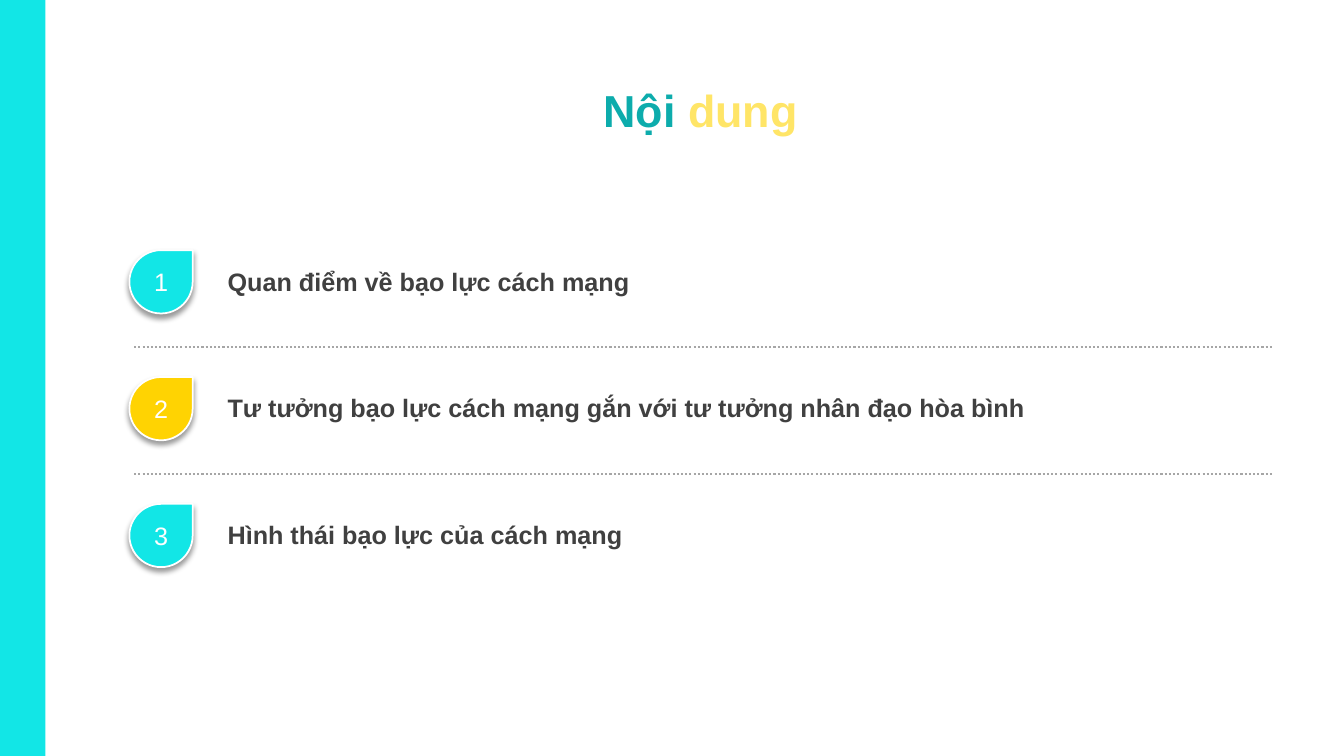
import pptx
import pptx.dml.color
import pptx.enum.dml
import pptx.enum.shapes
import pptx.enum.text
import pptx.oxml
import pptx.oxml.ns
import pptx.util

Pt = pptx.util.Pt
RGBColor = pptx.dml.color.RGBColor
Align = pptx.enum.text.PP_ALIGN
Anchor = pptx.enum.text.MSO_ANCHOR
Shape = pptx.enum.shapes.MSO_SHAPE

CYAN = RGBColor(0x12, 0xE6, 0xE6)
GOLD = RGBColor(0xFF, 0xD3, 0x02)
TEAL = RGBColor(0x0D, 0xAC, 0xAC)
PALE_YELLOW = RGBColor(0xFF, 0xE5, 0x67)
WHITE = RGBColor(0xFF, 0xFF, 0xFF)
DARK_GREY = RGBColor(0x40, 0x40, 0x40)
LINE_GREY = RGBColor(0xA6, 0xA6, 0xA6)

TITLE = [("Nội ", TEAL), ("dung", PALE_YELLOW)]
TOPICS = [
    ("Quan điểm về bạo lực cách mạng", CYAN),
    ("Tư tưởng bạo lực cách mạng gắn với tư tưởng nhân đạo hòa bình", GOLD),
    ("Hình thái bạo lực của cách mạng", CYAN),
]

SLIDE_WIDTH, SLIDE_HEIGHT = 960, 540
BAND_WIDTH = 32.4
FIRST_TOP, ROW_PITCH = 178.7, 90.6
BADGE_LEFT, BADGE_SIZE = 92.4, 45.2
TOPIC_LEFT, TOPIC_OFFSET = 155.5, 7.7
RULE_LEFT, RULE_RIGHT, RULE_OFFSET = 95.8, 909.4, 69.4

SHADOW = (
    '<a:outerShdw xmlns:a="http://schemas.openxmlformats.org/drawingml/2006/main"'
    ' blurRad="50800" dist="38100" dir="5400000" algn="t" rotWithShape="0">'
    '<a:srgbClr val="000000"><a:alpha val="40000"/></a:srgbClr></a:outerShdw>'
)


def write(frame, text, color, size=18, bold=False, align=Align.LEFT, anchor=Anchor.TOP):
    """Append a run to the first paragraph of a text frame and format it."""
    frame.word_wrap = True
    frame.vertical_anchor = anchor
    paragraph = frame.paragraphs[0]
    paragraph.alignment = align
    run = paragraph.add_run()
    run.text = text
    run.font.name = "Arial"
    run.font.size = Pt(size)
    run.font.bold = bold
    run.font.color.rgb = color


def add_title(slide):
    title = slide.shapes.title
    title.left, title.top, title.width, title.height = Pt(70), Pt(41.8), Pt(861), Pt(78.5)
    for text, color in TITLE:
        write(title.text_frame, text, color, size=32, bold=True,
              align=Align.CENTER, anchor=Anchor.MIDDLE)
    title.text_frame.paragraphs[0].line_spacing = 0.9


def add_band(slide):
    band = slide.shapes.add_shape(Shape.RECTANGLE, 0, 0, Pt(BAND_WIDTH), Pt(SLIDE_HEIGHT))
    band.shadow.inherit = False
    band.fill.solid()
    band.fill.fore_color.rgb = CYAN
    band.line.fill.background()


def add_badge(slide, number, color, top):
    badge = slide.shapes.add_shape(
        Shape.TEAR, Pt(BADGE_LEFT), Pt(top), Pt(BADGE_SIZE), Pt(BADGE_SIZE))
    badge.fill.solid()
    badge.fill.fore_color.rgb = color
    badge.line.color.rgb = WHITE
    badge.line.width = Pt(1.25)
    badge.shadow.inherit = False
    effects = badge._element.spPr.find(pptx.oxml.ns.qn("a:effectLst"))
    effects.append(pptx.oxml.parse_xml(SHADOW))
    write(badge.text_frame, str(number), WHITE, align=Align.CENTER, anchor=Anchor.MIDDLE)


def add_rule(slide, y):
    rule = slide.shapes.add_connector(
        pptx.enum.shapes.MSO_CONNECTOR.STRAIGHT, Pt(RULE_LEFT), Pt(y), Pt(RULE_RIGHT), Pt(y))
    rule.line.color.rgb = LINE_GREY
    rule.line.width = Pt(1.5)
    rule.line.dash_style = pptx.enum.dml.MSO_LINE.ROUND_DOT
    rule._element.spPr.append(pptx.oxml.ns.qn and pptx.oxml.xmlchemy.OxmlElement("a:effectLst"))


def main():
    presentation = pptx.Presentation()
    presentation.slide_width, presentation.slide_height = Pt(SLIDE_WIDTH), Pt(SLIDE_HEIGHT)
    slide = presentation.slides.add_slide(presentation.slide_layouts.get_by_name("Title Only"))
    add_band(slide)
    add_title(slide)
    for index, (topic, color) in enumerate(TOPICS):
        top = FIRST_TOP + index * ROW_PITCH
        add_badge(slide, index + 1, color, top)
        box = slide.shapes.add_textbox(
            Pt(TOPIC_LEFT), Pt(top + TOPIC_OFFSET), Pt(590), Pt(29))
        write(box.text_frame, topic, DARK_GREY, bold=True)
        if index < len(TOPICS) - 1:
            add_rule(slide, top + RULE_OFFSET)
    presentation.save("out.pptx")


if __name__ == "__main__":
    main()
